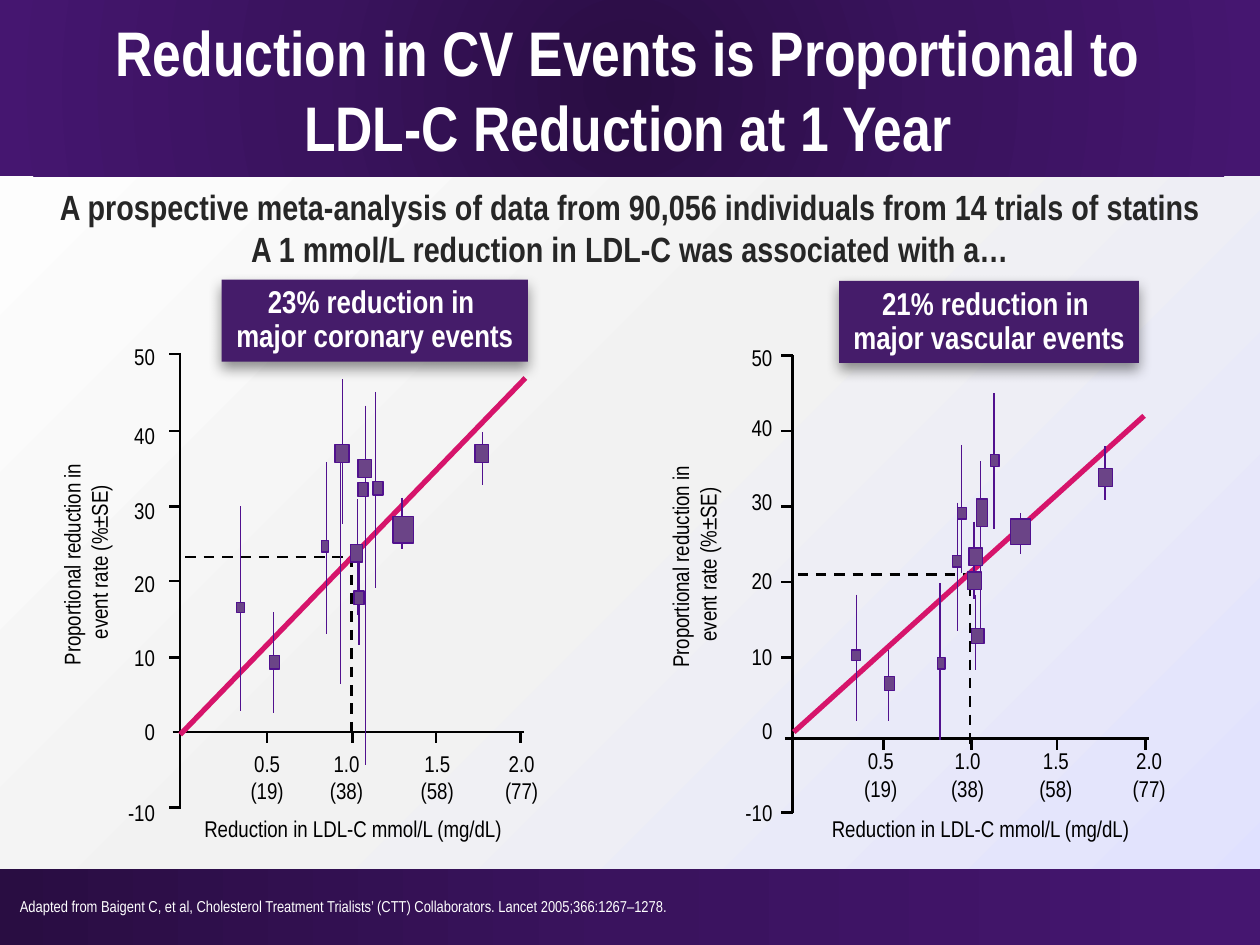
"""Build a slide relating LDL-C reduction to the fall in cardiovascular events."""
from dataclasses import dataclass

from lxml.etree import SubElement
from pptx import Presentation
from pptx.dml.color import RGBColor
from pptx.enum.dml import MSO_LINE
from pptx.enum.shapes import MSO_CONNECTOR, MSO_SHAPE
from pptx.enum.text import MSO_ANCHOR, MSO_AUTO_SIZE, PP_ALIGN
from pptx.oxml import parse_xml
from pptx.oxml.ns import nsdecls, qn
from pptx.util import Inches, Pt


@dataclass(frozen=True)
class Theme:
    font: str = "Arial Narrow"
    white: str = "FFFFFF"
    ink: str = "000000"
    heading: str = "262626"
    callout: str = "451C6A"
    trend: str = "D6146B"
    whisker: str = "51118E"
    marker: str = "6B4487"
    backdrop: tuple = ("FFFFFF", "F2F2F2", "E0E1FF")
    band: tuple = ("290D42", "3A135E", "451670")
    title_size: int = 36
    heading_size: int = 20
    callout_size: int = 18
    label_size: int = 13
    source_size: int = 9
    axis_width: float = 1.5
    trend_width: float = 3
    whisker_width: float = 0.75


@dataclass(frozen=True)
class Panel:
    axis_x: float
    axis_top: float
    axis_bottom: float
    zero_y: float
    zero_right: float
    y_ticks: tuple
    y_label_right: float
    y_label_tops: tuple
    x_ticks: tuple
    x_label_lefts: tuple
    x_label_top: float
    guide: tuple
    trend: tuple
    whiskers: tuple
    markers: tuple
    y_title_frame: tuple
    x_title_frame: tuple
    callout_frame: tuple
    callout: str


THEME = Theme()
LINEAR = '<a:lin ang="{}" scaled="0"/>'
RADIAL = ('<a:path path="circle"><a:fillToRect l="50000" t="50000" '
          'r="50000" b="50000"/></a:path>')
Y_LABELS = ("50", "40", "30", "20", "10", "0", "-10")
X_LABELS = ("0.5\v(19)", "1.0\v(38)", "1.5\v(58)", "2.0\v(77)")
LABEL_WIDTHS = {1: 0.42, 2: 0.5, 3: 0.55}
TICK = 0.09

CORONARY = Panel(
    axis_x=1.43, axis_top=2.8, axis_bottom=6.42, zero_y=5.81, zero_right=4.16,
    y_ticks=(2.81, 3.42, 4.02, 4.61, 5.22, 6.41), y_label_right=1.4,
    y_label_tops=(2.64, 3.27, 3.86, 4.44, 5.03, 5.62, 6.26),
    x_ticks=(2.12, 2.8, 3.46, 4.13), x_label_lefts=(1.82, 2.45, 3.17, 3.84),
    x_label_top=5.87, guide=((1.47, 4.42), (2.79, 4.42), (2.79, 5.82)),
    trend=(4.17, 3, 1.43, 5.83),
    whiskers=((1.91, 4.02, 5.64), (2.17, 4.86, 5.66), (2.59, 3.67, 5.03),
              (2.7, 3.6, 5.43), (2.72, 3.01, 4.16), (2.84, 3.96, 4.88),
              (2.85, 4.42, 5.12), (2.9, 3.22, 6.07), (2.98, 3.11, 4.67),
              (3.19, 3.95, 4.36), (3.83, 3.43, 3.85)),
    markers=((3.77, 3.53, 0.11, 0.14), (3.12, 4.1, 0.16, 0.21),
             (2.66, 3.53, 0.11, 0.14), (2.84, 3.65, 0.11, 0.14),
             (2.84, 3.83, 0.08, 0.11), (2.96, 3.82, 0.08, 0.11),
             (2.78, 4.32, 0.1, 0.14), (2.81, 4.69, 0.08, 0.11),
             (2.14, 5.2, 0.08, 0.11), (1.88, 4.78, 0.06, 0.08),
             (2.55, 4.29, 0.06, 0.09)),
    y_title_frame=(-0.92, 4.19, 3.2, 0.54), x_title_frame=(1.42, 6.42, 2.76, 0.32),
    callout_frame=(1.76, 2.22, 2.43, 0.65),
    callout="23% reduction in \vmajor coronary events")

VASCULAR = Panel(
    axis_x=6.29, axis_top=2.82, axis_bottom=6.45, zero_y=5.86, zero_right=9.12,
    y_ticks=(2.82, 3.42, 4.02, 4.62, 5.22, 6.45), y_label_right=6.3,
    y_label_tops=(2.65, 3.2, 3.79, 4.42, 5.02, 5.61, 6.26),
    x_ticks=(7.01, 7.71, 8.39, 9.09), x_label_lefts=(6.69, 7.38, 8.08, 8.82),
    x_label_top=5.85, guide=((6.33, 4.56), (7.7, 4.56), (7.7, 5.92)),
    trend=(9.08, 3.3, 6.3, 5.81),
    whiskers=((6.8, 4.72, 5.72), (7.05, 5.16, 5.72), (7.46, 4.63, 5.87),
              (7.6, 3.99, 5.01), (7.63, 3.53, 4.55), (7.73, 4.14, 4.75),
              (7.74, 4.72, 5.32), (7.78, 3.66, 5.11), (7.89, 3.12, 4.2),
              (8.1, 4.07, 4.4), (8.77, 3.54, 3.97)),
    markers=((6.76, 5.16, 0.07, 0.08), (7.02, 5.37, 0.08, 0.11),
             (7.44, 5.22, 0.06, 0.09), (7.56, 4.41, 0.07, 0.09),
             (7.6, 4.03, 0.07, 0.09), (7.86, 3.61, 0.07, 0.09),
             (7.75, 3.96, 0.09, 0.22), (8.02, 4.12, 0.16, 0.2),
             (8.72, 3.72, 0.11, 0.14), (7.69, 4.35, 0.11, 0.14),
             (7.68, 4.54, 0.11, 0.14), (7.71, 4.99, 0.1, 0.12)),
    y_title_frame=(3.58, 4.21, 3.86, 0.54), x_title_frame=(6.47, 6.42, 2.62, 0.32),
    callout_frame=(6.66, 2.23, 2.38, 0.65),
    callout="21% reduction in \vmajor vascular events")


def paint_gradient(fill, element, colours: tuple, geometry: str) -> None:
    fill.gradient()
    gradient = next(element.iter(qn("a:gradFill")))
    stops = "".join(f'<a:gs pos="{index * 50000}"><a:srgbClr val="{colour}"/></a:gs>'
                    for index, colour in enumerate(colours))
    gradient.getparent().replace(gradient, parse_xml(
        f'<a:gradFill {nsdecls("a")} rotWithShape="1"><a:gsLst>{stops}</a:gsLst>'
        f'{geometry}</a:gradFill>'))


def write(frame, text: str, size: int, colour: str, align=PP_ALIGN.CENTER,
          bold: bool = False) -> None:
    frame.text = text
    for para in frame.paragraphs:
        para.alignment = align
        for span in para.runs:
            span.font.name, span.font.size, span.font.bold = THEME.font, Pt(size), bold
            span.font.color.rgb = RGBColor.from_string(colour)


def place(shape, frame: tuple) -> None:
    shape.left, shape.top, shape.width, shape.height = map(Inches, frame)


def add_rectangle(page, frame: tuple):
    box = page.shapes.add_shape(MSO_SHAPE.RECTANGLE, *map(Inches, frame))
    box.shadow.inherit = False
    box.line.fill.background()
    return box


def add_label(page, frame: tuple, text: str, align=PP_ALIGN.CENTER, wrap: bool = True,
              size: int = THEME.label_size, colour: str = THEME.ink):
    box = page.shapes.add_textbox(*map(Inches, frame))
    area = box.text_frame
    area.word_wrap = wrap
    area.auto_size = MSO_AUTO_SIZE.SHAPE_TO_FIT_TEXT
    if not wrap:
        area.margin_left = Inches(0.05)
        area.margin_right = Inches(0.17 if align == PP_ALIGN.RIGHT else 0.05)
        area.margin_top = area.margin_bottom = Inches(0.08)
    write(area, text, size, colour, align)
    return box


def add_line(page, ends: tuple, colour: str = THEME.ink,
             width: float = THEME.axis_width) -> None:
    line = page.shapes.add_connector(MSO_CONNECTOR.STRAIGHT, *map(Inches, ends))
    line.line.color.rgb = RGBColor.from_string(colour)
    line.line.width = Pt(width)
    SubElement(line.element.spPr, qn("a:effectLst"))


def add_guide(page, points: tuple) -> None:
    start, *rest = [(Inches(x), Inches(y)) for x, y in points]
    builder = page.shapes.build_freeform(*start)
    builder.add_line_segments(rest, close=False)
    guide = builder.convert_to_shape()
    guide.shadow.inherit = False
    guide.fill.background()
    guide.line.color.rgb = RGBColor.from_string(THEME.ink)
    guide.line.width = Pt(THEME.axis_width)
    guide.line.dash_style = MSO_LINE.DASH


def add_callout(page, frame: tuple, text: str) -> None:
    box = add_rectangle(page, frame)
    box.fill.solid()
    box.fill.fore_color.rgb = RGBColor.from_string(THEME.callout)
    box.text_frame.word_wrap = False
    write(box.text_frame, text, THEME.callout_size, THEME.white, bold=True)
    box.text_frame.paragraphs[0].line_spacing = 0.9
    box.element.spPr.find(qn("a:effectLst")).append(parse_xml(
        f'<a:outerShdw {nsdecls("a")} blurRad="{Pt(8)}" dist="{Pt(4)}" dir="5400000">'
        '<a:srgbClr val="000000"><a:alpha val="43000"/></a:srgbClr></a:outerShdw>'))


def draw_panel(page, panel: Panel) -> None:
    axis, zero = panel.axis_x, panel.zero_y
    add_line(page, (axis, panel.axis_top, axis, panel.axis_bottom))
    add_line(page, (axis - 0.06, zero, panel.zero_right, zero))
    for y in panel.y_ticks:
        add_line(page, (axis, y, axis - TICK, y))
    for x in panel.x_ticks:
        add_line(page, (x, zero, x, zero + TICK))
    for text, top in zip(Y_LABELS, panel.y_label_tops):
        width = LABEL_WIDTHS[len(text)]
        add_label(page, (panel.y_label_right - width, top, width, 0.39), text,
                  PP_ALIGN.RIGHT, wrap=False)
    for text, left in zip(X_LABELS, panel.x_label_lefts):
        add_label(page, (left, panel.x_label_top, 0.6, 0.61), text, wrap=False)
    add_guide(page, panel.guide)
    add_line(page, panel.trend, THEME.trend, THEME.trend_width)
    for x, top, bottom in panel.whiskers:
        add_line(page, (x, top, x, bottom), THEME.whisker, THEME.whisker_width)
    for frame in panel.markers:
        marker = add_rectangle(page, frame)
        marker.fill.solid()
        marker.fill.fore_color.rgb = RGBColor.from_string(THEME.marker)
        marker.line.color.rgb = RGBColor.from_string(THEME.whisker)
        marker.line.width = Pt(THEME.whisker_width)
    y_title = add_label(page, panel.y_title_frame,
                        "Proportional reduction in \vevent rate (%±SE)")
    y_title.rotation = 270
    add_label(page, panel.x_title_frame, "Reduction in LDL-C mmol/L (mg/dL)")
    add_callout(page, panel.callout_frame, panel.callout)


def draw_headings(page) -> None:
    title, body = page.shapes.title, page.placeholders[1]
    bands = (((-0.02, 6.9, 10.02, 0.6), LINEAR.format(0)),
             ((-0.02, 0, 10.02, 1.4), RADIAL))
    for frame, geometry in bands:
        band = add_rectangle(page, frame)
        paint_gradient(band.fill, band.element, THEME.band, geometry)
        title.element.addprevious(band.element)
    place(title, (0.37, 0.05, 9.23, 1.31))
    write(title.text_frame,
          "Reduction in CV Events is Proportional to LDL-C Reduction at 1 Year",
          THEME.title_size, THEME.white, bold=True)
    place(body, (0, 1.42, 10, 1.28))
    write(body.text_frame,
          "A prospective meta-analysis of data from 90,056 individuals from 14 trials "
          "of statins\nA 1 mmol/L reduction in LDL-C was associated with a…",
          THEME.heading_size, THEME.heading, bold=True)
    for para in body.text_frame.paragraphs:
        para.space_before = Pt(0)
        properties = para._p.get_or_add_pPr()
        properties.set("marL", "0")
        properties.set("indent", "0")
        SubElement(properties, qn("a:buNone"))
    for shape, anchor in ((title, MSO_ANCHOR.MIDDLE), (body, MSO_ANCHOR.TOP)):
        shape.text_frame.vertical_anchor = anchor
        shape.text_frame.auto_size = MSO_AUTO_SIZE.NONE


def main() -> None:
    deck = Presentation()
    deck.slide_width, deck.slide_height = Inches(10), Inches(7.5)
    page = deck.slides.add_slide(deck.slide_layouts[1])
    paint_gradient(page.background.fill, page.element, THEME.backdrop,
                   LINEAR.format(2700000))
    draw_headings(page)
    add_label(page, (0.06, 7.07, 9.54, 0.25),
              "Adapted from Baigent C, et al, Cholesterol Treatment Trialists’ (CTT) "
              "Collaborators. Lancet 2005;366:1267–1278.",
              PP_ALIGN.LEFT, size=THEME.source_size, colour=THEME.white)
    for panel in (CORONARY, VASCULAR):
        draw_panel(page, panel)
    deck.save("out.pptx")


if __name__ == "__main__":
    main()
